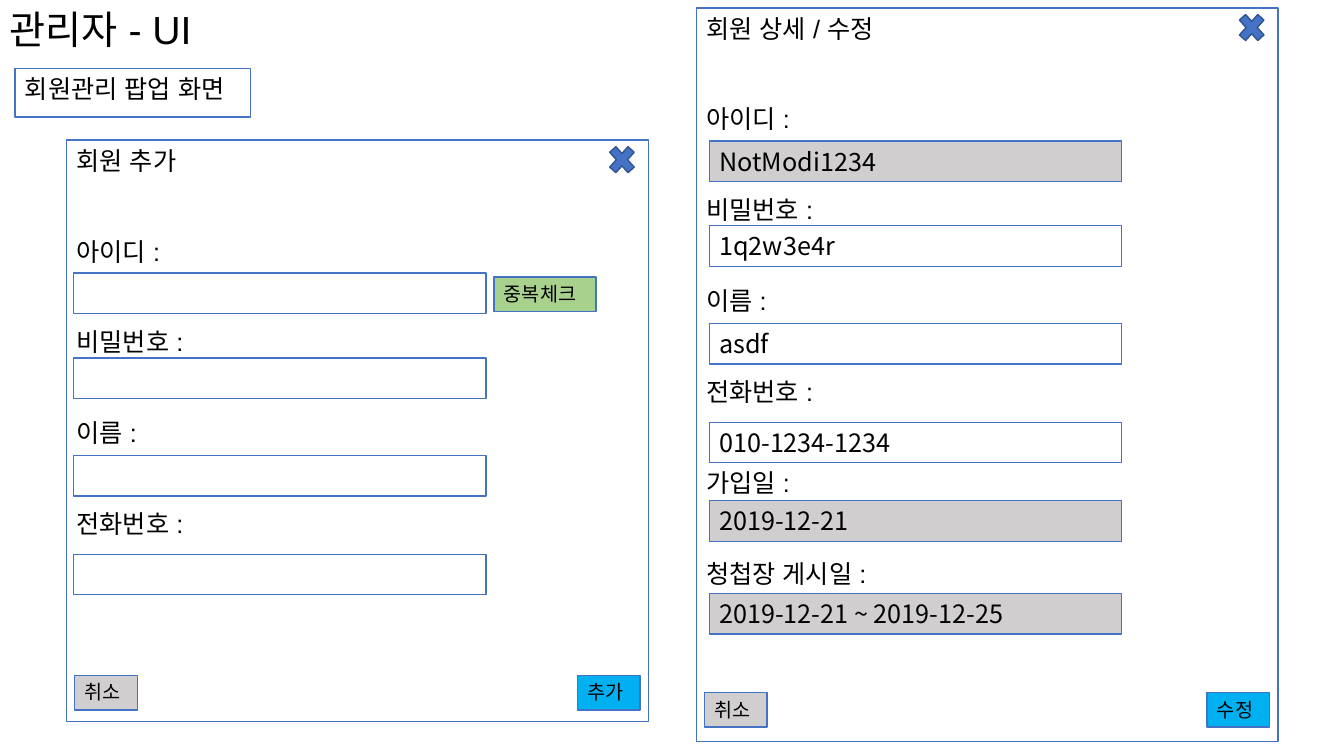
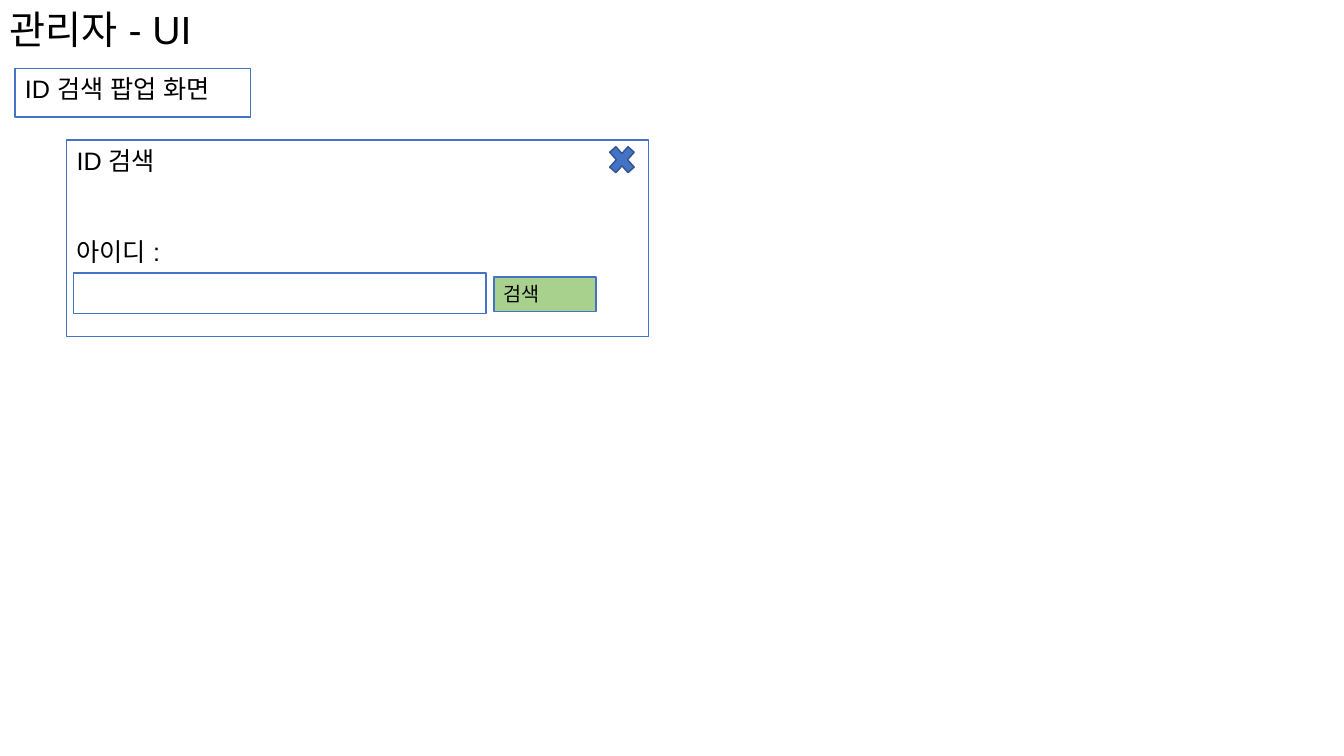
from pptx import Presentation
from pptx.dml.color import RGBColor
from pptx.enum.shapes import MSO_SHAPE
from pptx.enum.text import MSO_ANCHOR, PP_ALIGN
from pptx.oxml.ns import qn
from pptx.util import Cm, Pt
from lxml import etree

BLACK = RGBColor(0x00, 0x00, 0x00)
WHITE = RGBColor(0xFF, 0xFF, 0xFF)
BLUE = RGBColor(0x44, 0x72, 0xC4)
DARK_BLUE = RGBColor(0x32, 0x54, 0x91)
GRAY = RGBColor(0xD0, 0xCE, 0xCE)
GREEN = RGBColor(0xA9, 0xD1, 0x8E)
CYAN = RGBColor(0x00, 0xB0, 0xF0)

HEADING_FONT = "Arial"
INPUT_FONT = "Noto Sans CJK KR"

# Popup measures in cm, relative to the popup's top left corner
POPUP_WIDTH = 14.66
LABEL_GAP = Pt(43.3)
FIELD_TOPS = (3.35, 5.49, 7.95, 10.44, 12.42, 14.76)
FIELD_WIDTH, FIELD_HEIGHT = 10.39, 1.02
BUTTON_WIDTH, BUTTON_HEIGHT = 1.58, 0.87


def write(frame, lines, size, font, gap=Pt(0)):
    frame.word_wrap = True
    for index, line in enumerate(lines):
        paragraph = frame.paragraphs[0] if index == 0 else frame.add_paragraph()
        paragraph.alignment = PP_ALIGN.LEFT
        if index:
            paragraph.space_before = gap
        run = paragraph.add_run()
        run.text = line
        run.font.size = Pt(size)
        run.font.name = font
        run.font.color.rgb = BLACK
        east_asian = etree.SubElement(run.font._element, qn("a:ea"))
        east_asian.set("typeface", font)


def add_box(slide, left, top, width, height, fill=WHITE, line=BLUE,
            outline=MSO_SHAPE.RECTANGLE):
    box = slide.shapes.add_shape(outline, Cm(left), Cm(top), Cm(width), Cm(height))
    box.shadow.inherit = False
    box.fill.solid()
    box.fill.fore_color.rgb = fill
    box.line.color.rgb = line
    box.line.width = Pt(1)
    box.text_frame.vertical_anchor = MSO_ANCHOR.TOP
    return box


def add_button(slide, left, top, caption, fill, width=BUTTON_WIDTH):
    button = add_box(slide, left, top, width, BUTTON_HEIGHT, fill)
    write(button.text_frame, [caption], 14, INPUT_FONT)


def add_header(slide, screen_name):
    title = slide.shapes.add_textbox(0, 0, Cm(7.62), Cm(1.45))
    write(title.text_frame, ["관리자 - UI"], 28, HEADING_FONT)
    screen = add_box(slide, 0.38, 1.73, 5.94, 1.22)
    write(screen.text_frame, [screen_name], 18, HEADING_FONT)


def add_popup(slide, left, top, height, heading, fields, inset=0.18,
              side_action=None, submit=None, button_rise=1.17):
    """fields holds (label, value, locked) for each input."""
    popup = add_box(slide, left, top, POPUP_WIDTH, height)
    labels = [f"{label} :" for label, _, _ in fields]
    write(popup.text_frame, [heading, *labels], 18, HEADING_FONT, LABEL_GAP)

    # Close mark
    add_box(slide, left + 13.55, top, 0.89, 0.99, BLUE, DARK_BLUE,
            MSO_SHAPE.MATH_MULTIPLY)

    # Inputs
    for (_, value, locked), offset in zip(fields, FIELD_TOPS):
        field = add_box(slide, left + inset, top + offset, FIELD_WIDTH,
                        FIELD_HEIGHT, GRAY if locked else WHITE)
        if value:
            write(field.text_frame, [value], 18, INPUT_FONT)

    # Buttons
    if side_action:
        add_button(slide, left + 10.77, top + 3.45, side_action, GREEN, 2.57)
    if submit:
        button_top = top + height - button_rise
        add_button(slide, left + 0.2, button_top, "취소", GRAY)
        add_button(slide, left + 12.87, button_top, submit, CYAN)


def add_member_slide(deck):
    slide = deck.slides.add_slide(deck.slide_layouts[6])
    add_header(slide, "회원관리 팝업 화면")
    add_popup(slide, 1.68, 3.53, 14.66, "회원 추가",
              [(label, "", False) for label in ("아이디", "비밀번호", "이름", "전화번호")],
              side_action="중복체크", submit="추가")
    add_popup(slide, 17.55, 0.2, 18.49, "회원 상세 / 수정", [
        ("아이디", "NotModi1234", True),
        ("비밀번호", "1q2w3e4r", False),
        ("이름", "asdf", False),
        ("전화번호", "010-1234-1234", False),
        ("가입일", "2019-12-21", True),
        ("청첩장 게시일", "2019-12-21 ~ 2019-12-25", True),
    ], inset=0.33, submit="수정", button_rise=1.24)


def add_search_slide(deck):
    slide = deck.slides.add_slide(deck.slide_layouts[6])
    add_header(slide, "ID 검색 팝업 화면")
    add_popup(slide, 1.68, 3.53, 4.95, "ID 검색", [("아이디", "", False)],
              side_action="검색")


deck = Presentation()
deck.slide_width, deck.slide_height = Cm(33.87), Cm(19.05)
add_member_slide(deck)
add_search_slide(deck)
deck.save("out.pptx")
